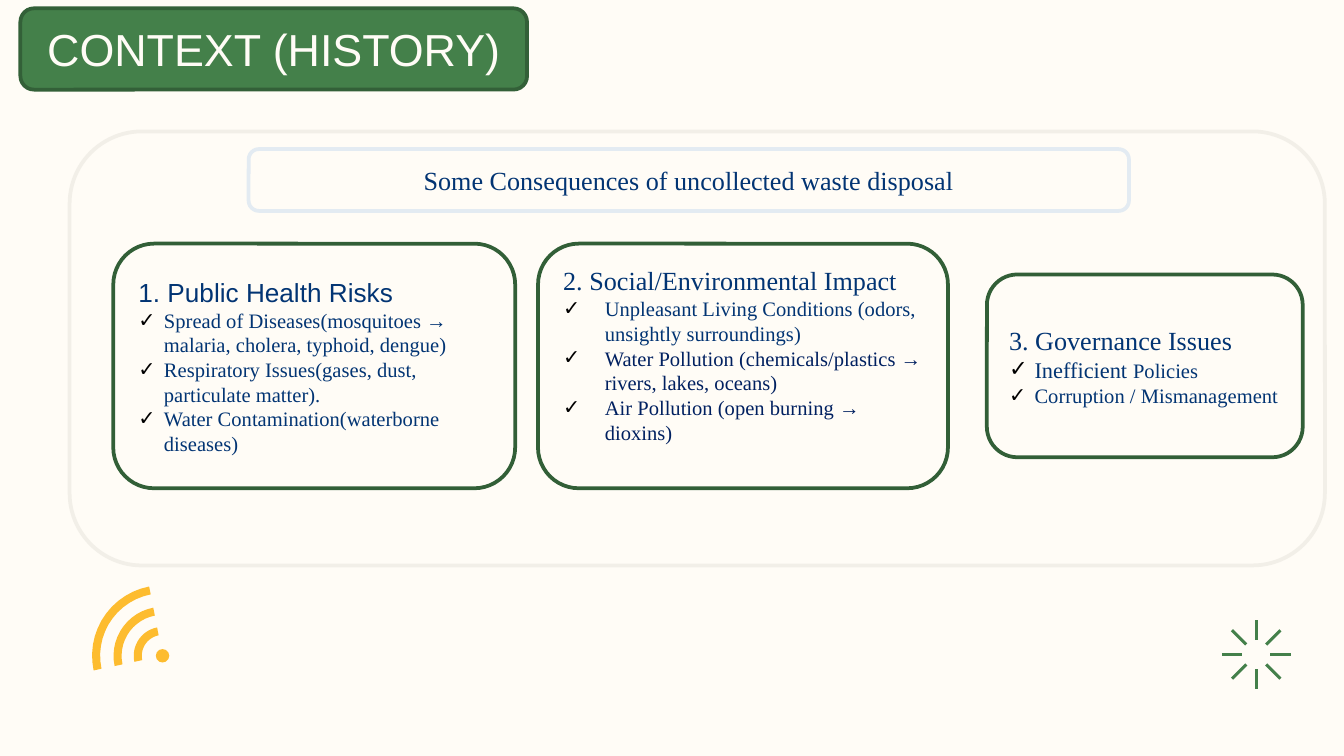
from dataclasses import dataclass
from math import cos, radians, sin

from lxml import etree
from pptx import Presentation
from pptx import util as u
from pptx.dml.color import RGBColor
from pptx.enum import shapes, text
from pptx.oxml.ns import qn

# The slide is a 16:9 grid of 1000 columns by 562.5 rows.
COLS, ROWS = 1000, 562.5
CELL = u.Inches(0.01)


@dataclass(frozen=True)
class Theme:
    paper: str = "FFFCF6"
    green: str = "44804A"
    edge: str = "336038"
    rim: str = "325F37"
    sand: str = "F2EFE8"
    ice: str = "E3EBF2"
    navy: str = "023473"
    deep: str = "002060"
    gold: str = "FDBC2F"
    black: str = "000000"
    sans: str = "Arial"
    serif: str = "Times New Roman"
    title: int = 24
    head: int = 14
    lead: int = 12
    body: int = 11
    rule: float = 2
    ray: float = 1.58


T = Theme()


@dataclass(frozen=True)
class Box:
    col: float
    row: float
    wide: float
    high: float


@dataclass(frozen=True)
class Run:
    text: str
    size: int = T.body
    color: str = T.navy
    font: str = T.serif


@dataclass(frozen=True)
class Card:
    box: Box
    head: Run
    items: tuple[tuple[Run, ...], ...]
    indent: int = 19
    foot: int = 5


CARDS = (
    Card(Box(84.3, 181.3, 299, 182),
         Run("1. Public Health Risks", T.head, font=T.sans),
         ((Run("Spread of Diseases(mosquitoes → malaria, cholera, typhoid, dengue)"),),
          (Run("Respiratory Issues(gases, dust, particulate matter)."),),
          (Run("Water Contamination(waterborne diseases)"),))),
    Card(Box(734.3, 204.3, 235, 136),
         Run("3. Governance Issues", T.head),
         ((Run("Inefficient ", T.lead), Run("Policies")),
          (Run("Corruption / Mismanagement"),))),
    Card(Box(400.3, 181.3, 305, 182),
         Run("2. Social/Environmental Impact", T.head),
         ((Run("Unpleasant Living Conditions (odors, unsightly surroundings)"),),
          (Run("Water Pollution (chemicals/plastics → rivers, lakes, oceans)", color=T.deep),),
          (Run("Air Pollution (open burning → dioxins)", color=T.deep),)),
         indent=31, foot=22),
)


def rgb(code: str) -> RGBColor:
    return RGBColor.from_string(code)


def size(cells: float) -> int:
    return round(cells * CELL)


def paint(shape, fill: str, line: str | None = None) -> None:
    shape.shadow.inherit = False
    shape.fill.solid()
    shape.fill.fore_color.rgb = rgb(fill)
    if line:
        shape.line.color.rgb = rgb(line)
        shape.line.width = u.Pt(T.rule)
    else:
        shape.line.fill.background()


def panel(slide, box: Box, fill: str, line: str):
    kind = shapes.MSO_SHAPE.ROUNDED_RECTANGLE
    shape = slide.shapes.add_shape(
        kind, *map(size, (box.col, box.row, box.wide, box.high)))
    paint(shape, fill, line)
    return shape


def write(para, runs: tuple[Run, ...], align) -> None:
    para.alignment = align
    for item in runs:
        run = para.add_run()
        run.text = item.text
        run.font.size = u.Pt(item.size)
        run.font.name = item.font
        run.font.color.rgb = rgb(item.color)


def tick(para, indent: int) -> None:
    """Give the paragraph a hanging check mark."""
    props = para._p.get_or_add_pPr()
    props.set("marL", str(size(indent)))
    props.set("indent", str(-size(indent)))
    tint = etree.SubElement(props, qn("a:buClr"))
    etree.SubElement(tint, qn("a:srgbClr"), val=T.black)
    etree.SubElement(props, qn("a:buFont"), typeface=T.sans)
    etree.SubElement(props, qn("a:buChar"), char="✓")


def label(slide, box: Box, fill: str, line: str, run: Run) -> None:
    frame = panel(slide, box, fill, line).text_frame
    frame.word_wrap = True
    frame.vertical_anchor = text.MSO_ANCHOR.MIDDLE
    write(frame.paragraphs[0], (run,), text.PP_ALIGN.CENTER)


def draw_card(slide, card: Card) -> None:
    frame = panel(slide, card.box, T.paper, T.rim).text_frame
    frame.word_wrap = True
    frame.vertical_anchor = text.MSO_ANCHOR.MIDDLE
    frame.margin_bottom = size(card.foot)
    write(frame.paragraphs[0], (card.head,), text.PP_ALIGN.LEFT)
    for runs in card.items:
        para = frame.add_paragraph()
        tick(para, card.indent)
        write(para, runs, text.PP_ALIGN.LEFT)


def polar(col: float, row: float, reach: float, angle: float) -> tuple[int, int]:
    turn = radians(angle)
    return size(col + reach * cos(turn)), size(row - reach * sin(turn))


def waves(slide, col: float, row: float) -> None:
    """Draw three arc bands around a dot."""
    sweep = range(101, 193, 7)
    for outer, inner in ((52.5, 46.5), (36.5, 30.5), (21.5, 15.5)):
        rim = [polar(col, row, outer, a) for a in sweep]
        rim += [polar(col, row, inner, a) for a in reversed(sweep)]
        path = slide.shapes.build_freeform(*rim[0], scale=1.0)
        path.add_line_segments(rim[1:], close=True)
        paint(path.convert_to_shape(), T.gold)
    dot = slide.shapes.add_shape(
        shapes.MSO_SHAPE.OVAL, *map(size, (col - 5, row - 5, 10, 10)))
    paint(dot, T.gold)


def burst(slide, col: float, row: float) -> None:
    """Draw eight rays, evenly turned."""
    for angle in range(0, 360, 45):
        ray = slide.shapes.add_connector(
            shapes.MSO_CONNECTOR.STRAIGHT,
            *polar(col, row, 25.5, angle), *polar(col, row, 10.5, angle))
        ray.line.color.rgb = rgb(T.green)
        ray.line.width = u.Pt(T.ray)
        etree.SubElement(ray._element.spPr, qn("a:effectLst"))


def main() -> None:
    deck = Presentation()
    deck.slide_width, deck.slide_height = size(COLS), size(ROWS)
    slide = deck.slides.add_slide(deck.slide_layouts[6])
    slide.background.fill.solid()
    slide.background.fill.fore_color.rgb = rgb(T.paper)
    waves(slide, 121, 488)
    burst(slide, 934.7, 487)
    label(slide, Box(15.2, 6.2, 377, 60.5), T.green, T.edge,
          Run("CONTEXT (HISTORY)", T.title, T.paper, T.sans))
    panel(slide, Box(51.8, 97.8, 934, 323), T.paper, T.sand)
    label(slide, Box(185, 111, 655, 46), T.paper, T.ice,
          Run("Some Consequences of uncollected waste disposal", T.head))
    for card in CARDS:
        draw_card(slide, card)
    deck.save("out.pptx")


if __name__ == "__main__":
    main()
